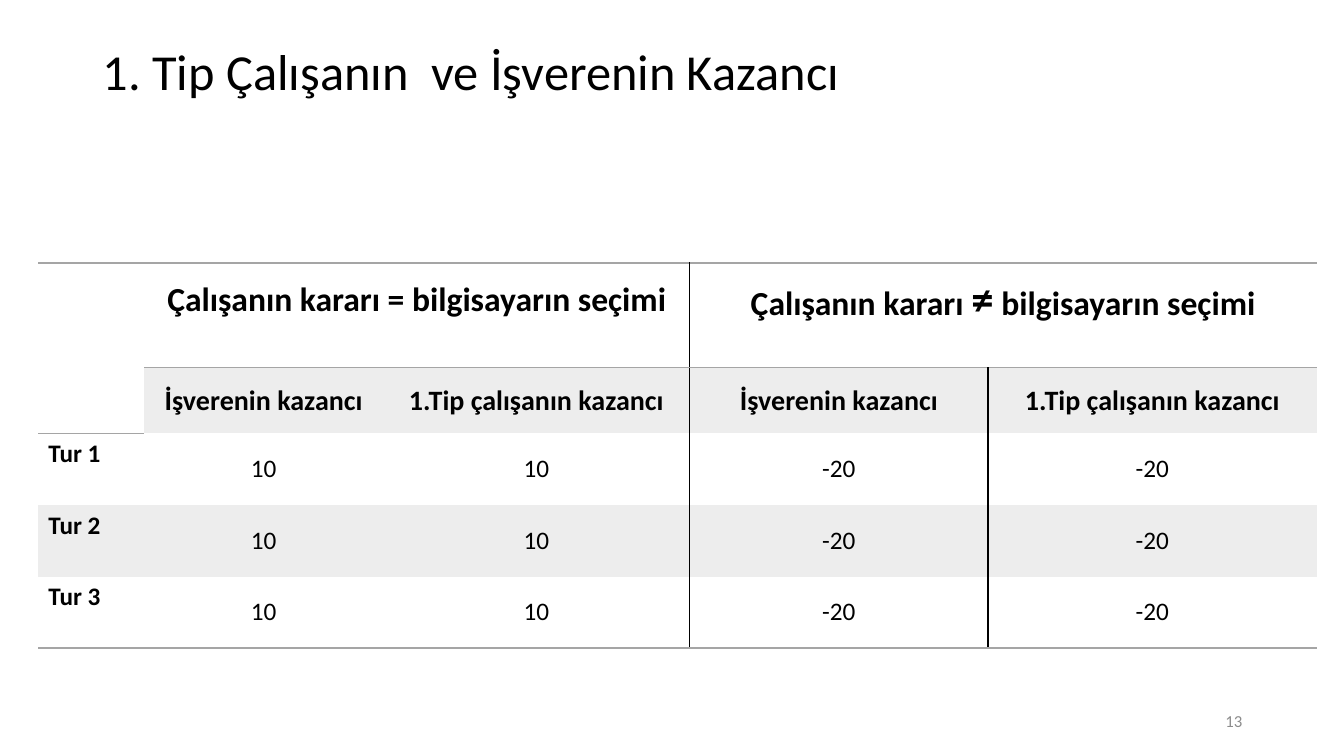
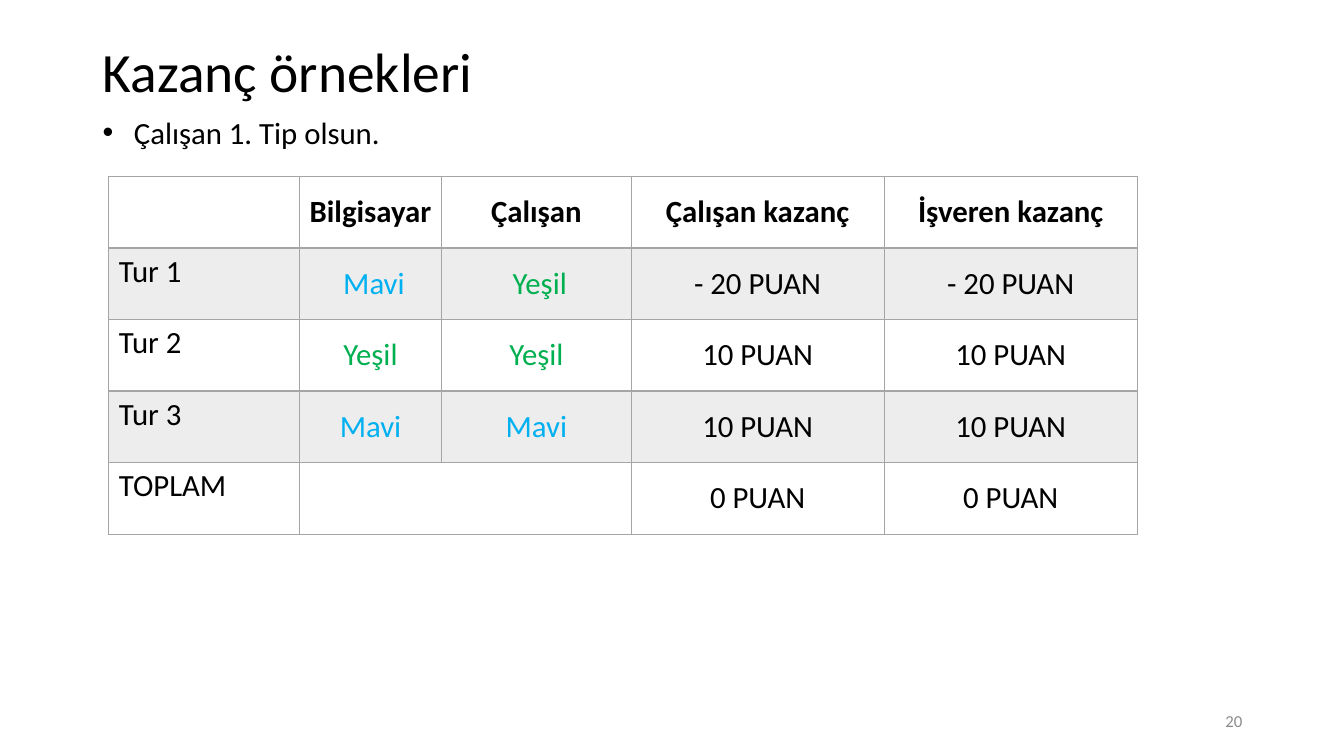
from lxml import etree
from pptx import Presentation
from pptx.dml.color import RGBColor
from pptx.enum.text import MSO_ANCHOR as Anchor, PP_ALIGN as Align
from pptx.oxml.ns import qn
from pptx.util import Inches, Pt

FONT = "Calibri"
BLACK, GREY, BAND, PAGE_GREY = "000000", "A5A5A5", "EDEDED", "8C8C8C"
CHOICE_COLOURS = {"Mavi": "00B0F0", "Yeşil": "00B050"}
LEFT, WIDTH = 0.92, 11.5


def rgb(value):
    return RGBColor.from_string(value)


def style(p, size, colour=BLACK, bold=False, align=Align.LEFT):
    p.alignment = align
    p.font.name = FONT
    p.font.size = Pt(size)
    p.font.bold = bold
    p.font.color.rgb = rgb(colour)


def add_text(s, box, text, size, colour=BLACK, align=Align.LEFT, anchor=Anchor.MIDDLE):
    tf = s.shapes.add_textbox(*[Inches(v) for v in box]).text_frame
    tf.word_wrap = True
    tf.vertical_anchor = anchor
    p = tf.paragraphs[0]
    p.add_run().text = text
    style(p, size, colour, align=align)
    return p


def add_bullet(s, box, text, size):
    p = add_text(s, box, text, size, anchor=Anchor.TOP)
    pPr = p._p.get_or_add_pPr()
    pPr.set("marL", str(Inches(0.31)))
    pPr.set("indent", str(-Inches(0.31)))
    bullet_font = etree.Element(qn("a:buFont"), typeface="Arial")
    bullet = etree.Element(qn("a:buChar"), char="•")
    defaults = pPr.find(qn("a:defRPr"))
    for mark in (bullet_font, bullet):
        defaults.addprevious(mark)


def add_slide(prs, title, title_size, number):
    s = prs.slides.add_slide(prs.slide_layouts[6])
    p = add_text(s, (LEFT, 0.4, WIDTH, 0.68), title, title_size)
    p.line_spacing = 0.9
    add_text(s, (9.42, 6.95, 3, 0.4), number, 12, PAGE_GREY, Align.RIGHT)
    return s


def set_borders(cell, borders):
    tcPr = cell._tc.get_or_add_tcPr()
    for side in "LRTB":
        colour, width = borders.get(side, (None, 0))
        ln = etree.SubElement(tcPr, qn(f"a:ln{side}"), w=str(Pt(width)))
        if colour:
            fill = etree.SubElement(ln, qn("a:solidFill"))
            etree.SubElement(fill, qn("a:srgbClr"), val=colour)
        else:
            etree.SubElement(ln, qn("a:noFill"))


def set_fill(cell, banded):
    if banded:
        cell.fill.solid()
        cell.fill.fore_color.rgb = rgb(BAND)
    else:
        cell.fill.background()


def write_cell(cell, text, size, bold, centred):
    p = cell.text_frame.paragraphs[0]
    p.add_run().text = text
    colour = CHOICE_COLOURS.get(text.strip(), BLACK)
    style(p, size, colour, bold, Align.CENTER if centred else Align.LEFT)
    cell.vertical_anchor = Anchor.MIDDLE if centred else Anchor.TOP


def add_table(s, left, top, widths, heights, rows, merges, look, borders, banded):
    frame = s.shapes.add_table(len(heights), len(widths), Inches(left), Inches(top),
                               Inches(sum(widths)), Inches(sum(heights)))
    table = frame.table
    table.first_row = table.horz_banding = False
    tblPr = table._tbl.tblPr
    tblPr.remove(tblPr.find(qn("a:tableStyleId")))
    for column, width in zip(table.columns, widths):
        column.width = Inches(width)
    for row, height in zip(table.rows, heights):
        row.height = Inches(height)
    for first, last in merges:
        table.cell(*first).merge(table.cell(*last))
    for r, texts in enumerate(rows):
        for c, text in enumerate(texts):
            cell = table.cell(r, c)
            set_borders(cell, borders(r, c))
            set_fill(cell, banded(r, c))
            if text:
                size, bold = look(r, c)
                write_cell(cell, text, size, bold, c > 0)
    return table


def payoff_look(r, c):
    return (24, 20, 18, 18, 18)[r], r < 2 or c == 0


def payoff_borders(r, c):
    grey, black = (GREY, 1), (BLACK, 1)
    sides = {}
    if r == 0:
        sides["T"] = grey
    if r in (0, 4) or (r, c) == (1, 0):
        sides["B"] = grey
    if c == 2 or (c == 3 and r > 0) or (r, c) == (0, 1):
        sides["R"] = black
    if c == 3 or (c == 4 and r > 0):
        sides["L"] = black
    return sides


def payoff_band(r, c):
    return r == 3 or (r == 1 and c > 0)


def example_look(r, c):
    return 22, r == 0


def example_borders(r, c):
    sides = dict.fromkeys("LRTB", (GREY, 1))
    if r < 2:
        sides["B" if r == 0 else "T"] = (GREY, 2)
    return sides


def example_band(r, c):
    return r in (1, 3)


def build_payoffs(prs):
    s = add_slide(prs, "1. Tip Çalışanın  ve İşverenin Kazancı", 36, "13")
    rounds = [[f"Tur {n}", "10", "10", "-20", "-20"] for n in (1, 2, 3)]
    rows = [
        ["", "Çalışanın kararı = bilgisayarın seçimi", "", "Çalışanın kararı ", ""],
        [""] + ["İşverenin kazancı", "1.Tip çalışanın kazancı"] * 2,
    ] + rounds
    merges = [((0, 0), (1, 0)), ((0, 1), (0, 2)), ((0, 3), (0, 4))]
    table = add_table(s, 0.38, 2.61, [1.05, 2.37, 3.04, 2.96, 3.26],
                      [1.04, 0.65] + [0.71] * 3, rows, merges,
                      payoff_look, payoff_borders, payoff_band)
    for c in (1, 3):
        table.cell(0, c).margin_bottom = Inches(0.36)
    p = table.cell(0, 3).text_frame.paragraphs[0]
    sign = p.add_run()
    sign.text = "≠"
    sign.font.size = Pt(32)
    p.add_run().text = " bilgisayarın seçimi"


def build_examples(prs):
    s = add_slide(prs, "Kazanç örnekleri", 39.6, "20")
    add_bullet(s, (LEFT, 1.08, WIDTH, 0.47), "Çalışan 1. Tip olsun.", 22)
    rows = [
        ["", "Bilgisayar", "Çalışan", "Çalışan kazanç", "İşveren kazanç"],
        ["Tur 1", " Mavi", " Yeşil", "- 20 PUAN", "- 20 PUAN"],
        ["Tur 2", "Yeşil", "Yeşil", "10 PUAN", "10 PUAN"],
        ["Tur 3", "Mavi", "Mavi", "10 PUAN", "10 PUAN"],
        ["TOPLAM", "", "", "0 PUAN", "0 PUAN"],
    ]
    add_table(s, 1.08, 1.75, [1.89, 1.41, 1.88, 2.51, 2.51], [0.71] * 5, rows,
              [((4, 1), (4, 2))], example_look, example_borders, example_band)


def main():
    prs = Presentation()
    prs.slide_width, prs.slide_height = Inches(13.33), Inches(7.5)
    build_payoffs(prs)
    build_examples(prs)
    prs.save("out.pptx")


if __name__ == "__main__":
    main()
